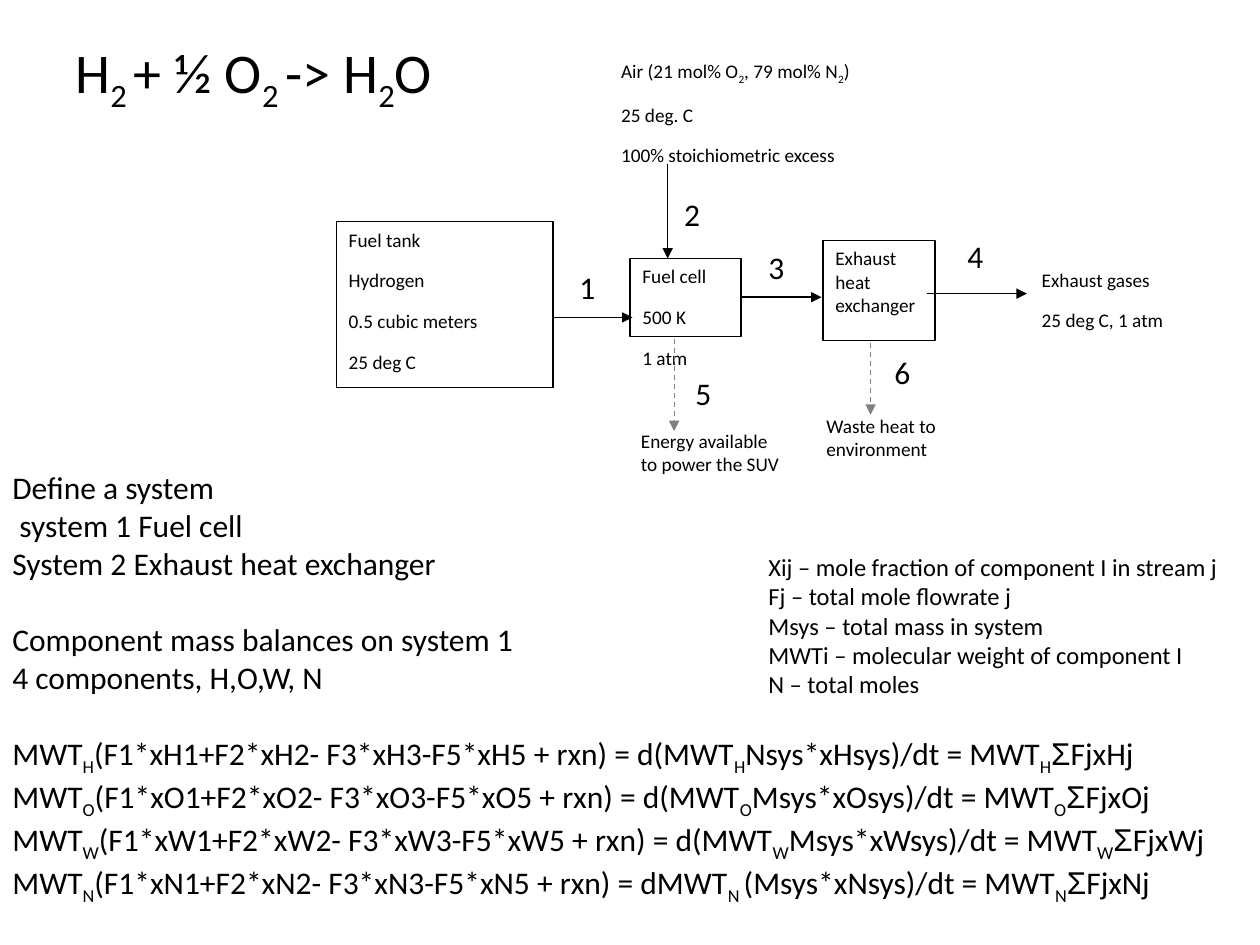
from lxml import etree
from pptx import Presentation
from pptx.dml.color import RGBColor
from pptx.enum.dml import MSO_LINE
from pptx.enum.shapes import MSO_CONNECTOR, MSO_SHAPE
from pptx.enum.text import MSO_ANCHOR, PP_ALIGN
from pptx.oxml.ns import qn
from pptx.util import Cm, Pt

BLACK = RGBColor(0, 0, 0)
WHITE = RGBColor(255, 255, 255)
GREY = RGBColor(128, 128, 128)


def write(shape, lines, size, after=0, gaps=(), wrap=True):
    """Fill a shape with lines; [..] marks a subscript, gaps the lines with space above."""
    frame = shape.text_frame
    frame.word_wrap = wrap
    frame.vertical_anchor = MSO_ANCHOR.TOP
    for row, line in enumerate(lines):
        paragraph = frame.paragraphs[0] if row == 0 else frame.add_paragraph()
        spacing = {"alignment": PP_ALIGN.LEFT, "space_after": Pt(after),
                   "space_before": Pt(22 if row in gaps else 0)}
        for key, value in spacing.items():
            setattr(paragraph, key, value)
        for part, text in enumerate(line.replace("]", "[").split("[")):
            for piece in filter(None, text.partition("Σ")):
                run = paragraph.add_run()
                run.text = piece
                run.font.size = Pt(size)
                run.font.name = "Arial" if piece == "Σ" else "Calibri"
                run.font.color.rgb = BLACK
                if part % 2:
                    run.font._element.set("baseline", "-25000")


presentation = Presentation()
presentation.slide_width = Cm(25.4)
presentation.slide_height = Cm(19.05)
slide = presentation.slides.add_slide(presentation.slide_layouts[6])
shapes = slide.shapes

reaction = shapes.add_textbox(Cm(1.27), Cm(0.64), Cm(22.86), Cm(9.09))
write(reaction, ["H[2 ]+ ½ O[2 ]-> H[2]O"], 32)

# Process units are outlined, the stream descriptions are not
units = [
    ((6.78, 4.47, 4.37, 3.35), True, ["Fuel tank", "Hydrogen", "0.5 cubic meters", "25 deg C"]),
    ((12.7, 5.21, 2.24, 1.57), True, ["Fuel cell", "500 K", "1 atm"]),
    ((16.59, 4.85, 2.26, 2.01), True, ["Exhaust heat exchanger"]),
    ((12.67, 8.53, 3.4, 1.85), False, ["Energy available to power the SUV"]),
    ((16.41, 8.23, 3.91, 1.12), False, ["Waste heat to environment"]),
    ((12.27, 1.07, 5.44, 2.39), False,
     ["Air (21 mol% O[2], 79 mol% N[2]) ", "25 deg. C", "100% stoichiometric excess"]),
    ((20.75, 5.28, 3.81, 1.47), False, ["Exhaust gases", "25 deg C, 1 atm"]),
]
for place, outlined, lines in units:
    unit = shapes.add_shape(MSO_SHAPE.RECTANGLE, *map(Cm, place))
    unit.shadow.inherit = False
    unit.fill.solid()
    unit.fill.fore_color.rgb = WHITE
    if outlined:
        unit.line.color.rgb = BLACK
        unit.line.width = Pt(0.75)
    else:
        unit.line.fill.background()
    write(unit, lines, 11, after=10)

# Streams: number, arrow from and to, number position, energy flow or not
streams = [
    ("1", (11.15, 6.4, 12.75, 6.4), (11.43, 5.28), False),
    ("2", (13.46, 3.3, 13.46, 5.21), (13.54, 3.81), False),
    ("3", (14.94, 5.99, 16.56, 5.99), (15.24, 4.88), False),
    ("4", (18.69, 5.92, 20.7, 5.92), (19.25, 4.65), False),
    ("5", (13.59, 6.83, 13.59, 8.69), (13.77, 7.42), True),
    ("6", (17.55, 6.91, 17.55, 8.36), (17.78, 6.99), True),
]
for number, ends, corner, is_energy in streams:
    arrow = shapes.add_connector(MSO_CONNECTOR.STRAIGHT, *map(Cm, ends))
    arrow.line.color.rgb = GREY if is_energy else BLACK
    arrow.line.width = Pt(0.75)
    if is_energy:
        arrow.line.dash_style = MSO_LINE.DASH
    properties = arrow._element.spPr
    etree.SubElement(properties.find(qn("a:ln")), qn("a:tailEnd"), type="triangle")
    etree.SubElement(properties, qn("a:effectLst"))
    label = shapes.add_textbox(*map(Cm, corner), Cm(0.84), Cm(1.02))
    write(label, [number], 18, wrap=False)

# Component, opening of the derivative, system total
balances = [("H", "d(MWT[H]", "Nsys"), ("O", "d(MWT[O]", "Msys"),
            ("W", "d(MWT[W]", "Msys"), ("N", "dMWT[N ](", "Msys")]
equations = [
    f"MWT[{c}](F1*x{c}1+F2*x{c}2- F3*x{c}3-F5*x{c}5 + rxn) = "
    f"{derivative}{total}*x{c}sys)/dt = MWT[{c}]ΣFjx{c}j"
    for c, derivative, total in balances
]
analysis = shapes.add_textbox(Cm(0), Cm(9.32), Cm(25.4), Cm(10.26))
write(analysis, ["Define a system", " system 1 Fuel cell", "System 2 Exhaust heat exchanger",
                 "Component mass balances on system 1", "4 components, H,O,W, N",
                 *equations], 18, gaps=(3, 5))

definitions = shapes.add_textbox(Cm(15.24), Cm(11), Cm(9.73), Cm(3.25))
write(definitions, ["Xij – mole fraction of component I in stream j",
                    "Fj – total mole flowrate j", "Msys – total mass in system",
                    "MWTi – molecular weight of component I", "N – total moles "], 14)

presentation.save("out.pptx")
